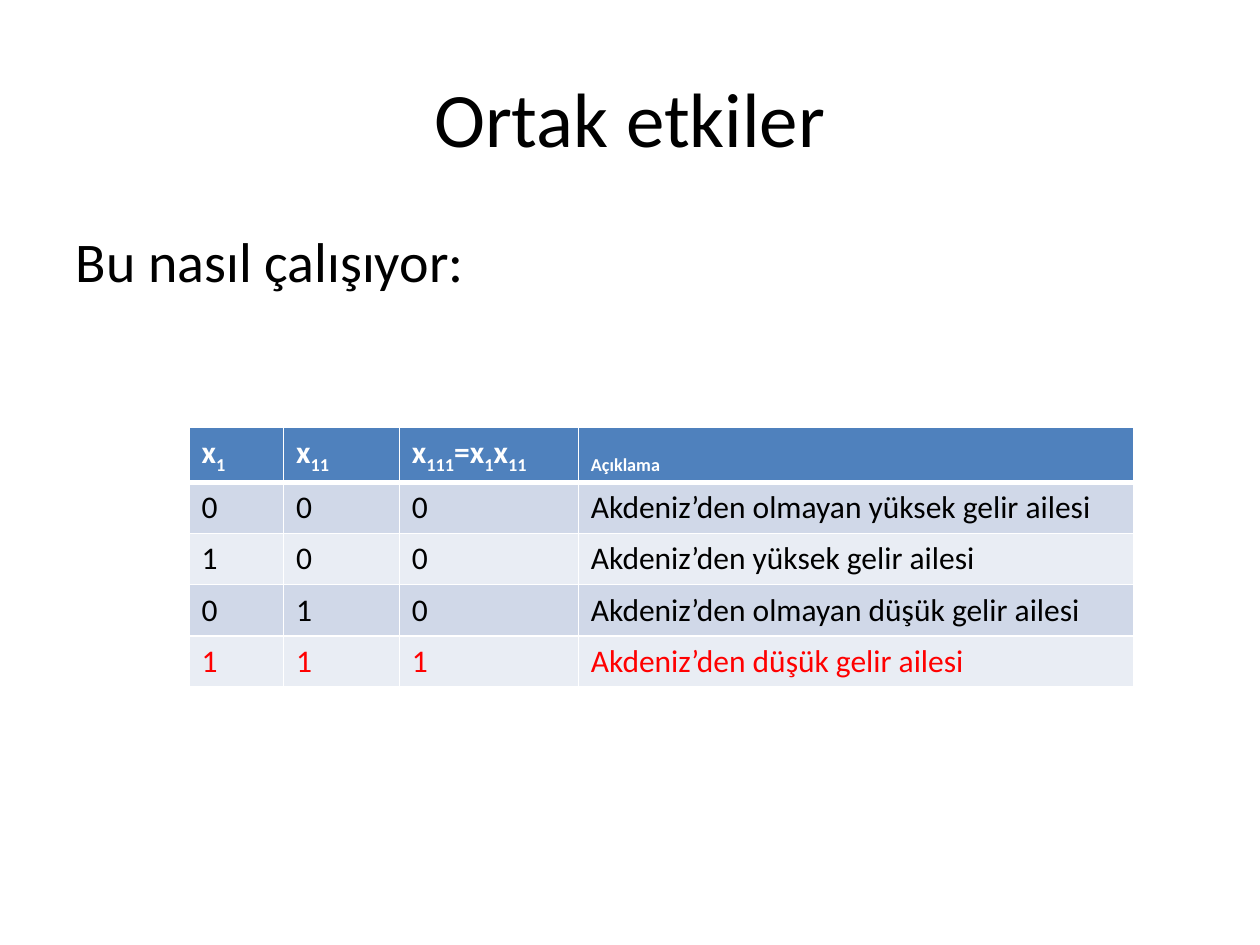
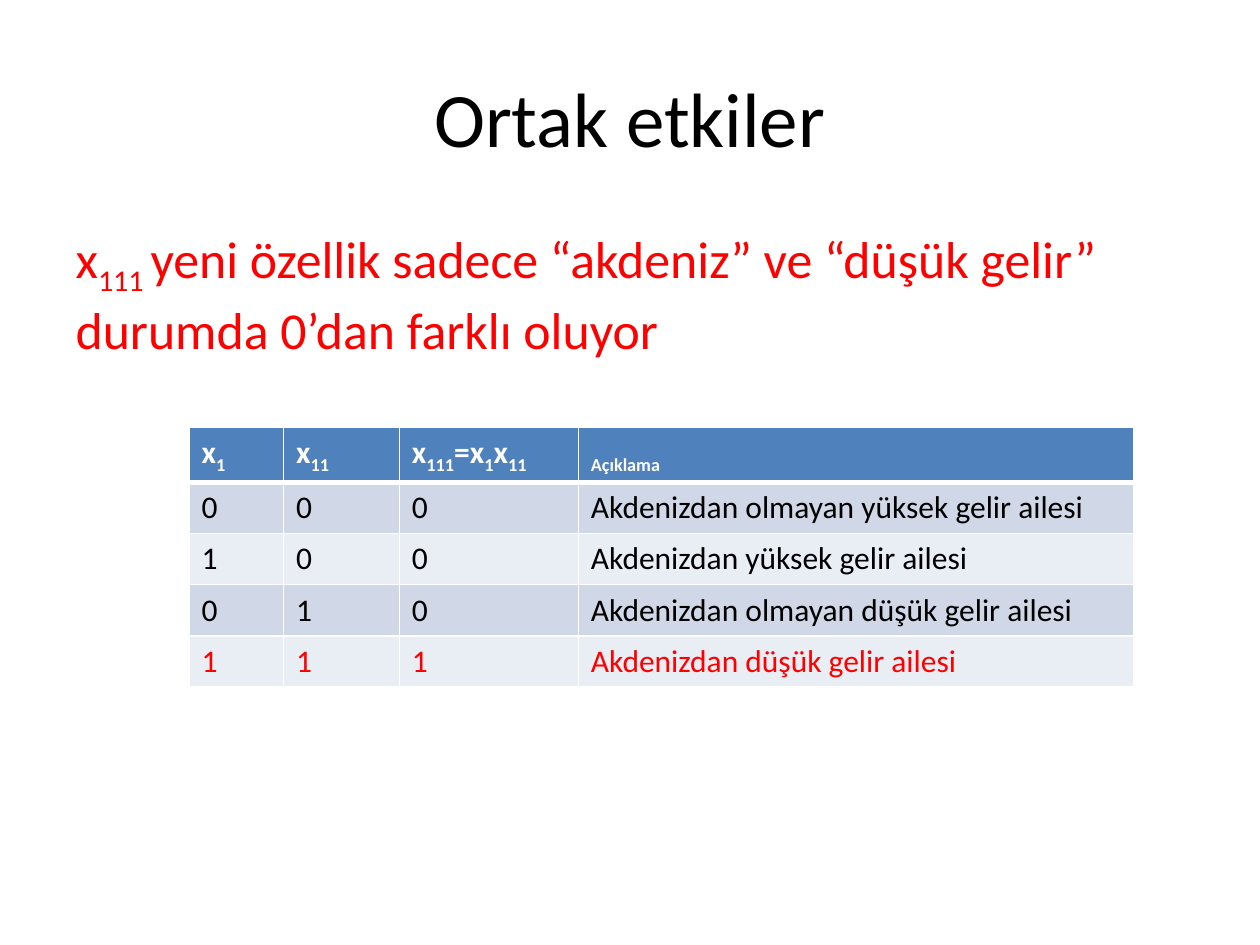
from dataclasses import dataclass

from lxml import etree
from pptx import Presentation
from pptx.dml.color import RGBColor
from pptx.enum.text import MSO_ANCHOR, MSO_AUTO_SIZE, PP_ALIGN
from pptx.oxml.ns import qn
from pptx.util import Inches, Pt

CENTER = PP_ALIGN.CENTER
MIDDLE = MSO_ANCHOR.MIDDLE
NO_AUTOFIT = MSO_AUTO_SIZE.NONE

FONT = "Calibri"
COLORS = {
    "text": "000000",
    "accent": "FF0000",
    "white": "FFFFFF",
    "header": "4F81BD",
    "odd_row": "D0D8E8",
    "even_row": "E9EDF4",
}
TITLE = "Ortak etkiler"

# A bar switches between normal and subscript text
HEADERS = ("x|1", "x|11", "x|111|=x|1|x|11", "|Açıklama")
FEATURES = (("0", "0", "0"), ("1", "0", "0"), ("0", "1", "0"), ("1", "1", "1"))
DESCRIPTIONS = (
    "olmayan yüksek gelir ailesi",
    "yüksek gelir ailesi",
    "olmayan düşük gelir ailesi",
    "düşük gelir ailesi",
)
COLUMN_WIDTHS = (0.75, 0.92, 1.42, 4.41)
ROW_HEIGHT = 0.405


@dataclass(frozen=True)
class TextStyle:
    size: float
    color: str = "text"
    bold: bool = False


@dataclass(frozen=True)
class EffectSlide:
    body: str
    body_style: TextStyle
    body_height: float
    body_indent: float
    region: str


EFFECT_SLIDES = (
    EffectSlide("Bu nasıl çalışıyor:", TextStyle(32), 4.95, 0.38, "Akdeniz’den"),
    EffectSlide(
        "x|111 |yeni özellik sadece “akdeniz” ve “düşük gelir” "
        "durumda 0’dan farklı oluyor",
        TextStyle(29.6, "accent"), 1, 0, "Akdenizdan",
    ),
)


def rgb(name: str) -> RGBColor:
    return RGBColor.from_string(COLORS[name])


def write_text(paragraph, text: str, style: TextStyle) -> None:
    for index, part in enumerate(text.split("|")):
        if not part:
            continue
        run = paragraph.add_run()
        run.text = part
        run.font.name = FONT
        run.font.size = Pt(style.size)
        run.font.bold = style.bold
        run.font.color.rgb = rgb(style.color)
        if index % 2:
            run.font._element.set("baseline", "-25000")


def place(shape, top: float, height: float) -> None:
    shape.left, shape.top = Inches(0.5), Inches(top)
    shape.width, shape.height = Inches(9), Inches(height)
    shape.text_frame.auto_size = NO_AUTOFIT


def add_title(slide) -> None:
    title = slide.shapes.title
    place(title, 0.3, 1.25)
    title.text_frame.vertical_anchor = MIDDLE
    paragraph = title.text_frame.paragraphs[0]
    paragraph.alignment = CENTER
    write_text(paragraph, TITLE, TextStyle(44))


def add_body(slide, content: EffectSlide) -> None:
    body = slide.placeholders[1]
    place(body, 1.75, content.body_height)
    paragraph = body.text_frame.paragraphs[0]
    write_text(paragraph, content.body, content.body_style)
    # Hanging indent without a bullet
    properties = paragraph._p.get_or_add_pPr()
    indent = Inches(content.body_indent)
    properties.set("marL", str(indent))
    properties.set("indent", str(-indent))
    etree.SubElement(properties, qn("a:buNone"))


def set_borders(cell, top: float, bottom: float) -> None:
    properties = cell._tc.get_or_add_tcPr()
    for side, width in (("L", 1), ("R", 1), ("T", top), ("B", bottom)):
        line = etree.SubElement(properties, qn(f"a:ln{side}"), w=str(Pt(width)))
        fill = etree.SubElement(line, qn("a:solidFill"))
        etree.SubElement(fill, qn("a:srgbClr"), val=COLORS["white"])


def add_feature_table(slide, region: str) -> None:
    rows = [HEADERS] + [
        (*values, f"{region} {description}")
        for values, description in zip(FEATURES, DESCRIPTIONS)
    ]
    table = slide.shapes.add_table(
        len(rows), len(HEADERS), Inches(1.5), Inches(3.39),
        Inches(sum(COLUMN_WIDTHS)), Inches(ROW_HEIGHT * len(rows)),
    ).table
    for column, width in zip(table.columns, COLUMN_WIDTHS):
        column.width = Inches(width)

    last = len(rows) - 1
    for row_index, row in enumerate(rows):
        if row_index == 0:
            fill, style = "header", TextStyle(18, "white", bold=True)
        else:
            fill = "odd_row" if row_index % 2 else "even_row"
            style = TextStyle(18, "accent" if row_index == last else "text")
        for column_index, text in enumerate(row):
            cell = table.cell(row_index, column_index)
            write_text(cell.text_frame.paragraphs[0], text, style)
            set_borders(
                cell,
                top=3 if row_index == 1 else 1,
                bottom=3 if row_index == 0 else 1,
            )
            cell.fill.solid()
            cell.fill.fore_color.rgb = rgb(fill)


def main() -> None:
    presentation = Presentation()
    presentation.slide_width = Inches(10)
    presentation.slide_height = Inches(7.5)
    layout = presentation.slide_layouts[1]
    for content in EFFECT_SLIDES:
        slide = presentation.slides.add_slide(layout)
        add_title(slide)
        add_body(slide, content)
        add_feature_table(slide, content.region)
    presentation.save("out.pptx")


if __name__ == "__main__":
    main()
